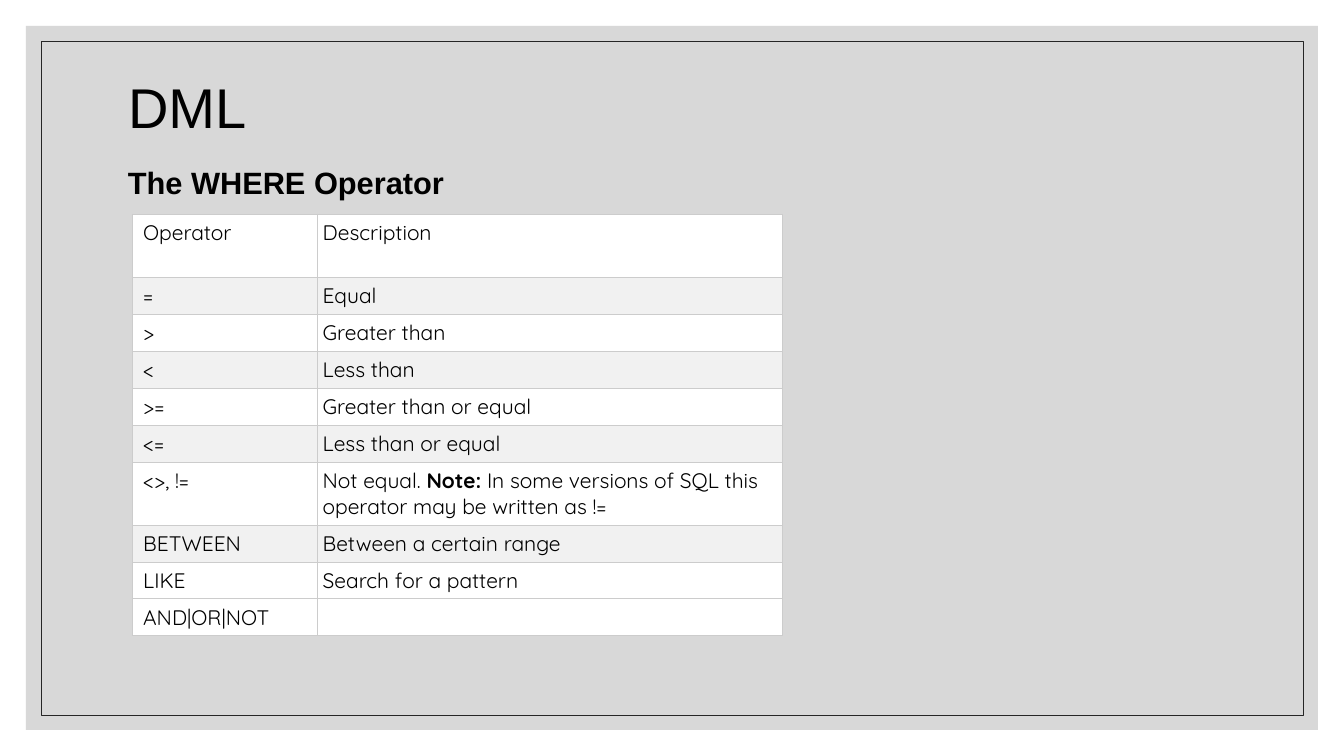
import pptx
import pptx.dml.color
import pptx.enum.shapes
import pptx.enum.text
import pptx.oxml
import pptx.oxml.ns
import pptx.util

SLIDE_W, SLIDE_H = 1344, 756
PX = 12192000 / SLIDE_W
COLORS = {
    "panel": "BFBFBF", "frame": "262626", "text": "000000",
    "border": "CCCCCC", "plain": "FFFFFF", "band": "F1F1F1",
}
OPERATORS = [
    ("Operator", ["Description"]),
    ("=", ["Equal"]),
    (">", ["Greater than"]),
    ("<", ["Less than"]),
    (">=", ["Greater than or equal"]),
    ("<=", ["Less than or equal"]),
    ("<>, !=", ["Not equal. ", "Note:", " In some versions of SQL this operator may be written as !="]),
    ("BETWEEN", ["Between a certain range"]),
    ("LIKE", ["Search for a pattern"]),
    ("AND|OR|NOT", []),
]
BANDED_ROWS = (1, 3, 5, 7)
TALL_ROWS = (0, 6)


def px(length):
    return pptx.util.Emu(round(length * PX))


def rgb(name):
    return pptx.dml.color.RGBColor.from_string(COLORS[name])


def style(paragraph, font_name, size, bold=False):
    paragraph.font.name = font_name
    paragraph.font.size = pptx.util.Pt(size)
    paragraph.font.bold = bold
    paragraph.font.color.rgb = rgb("text")


def add_backdrop(slide, margin, frame_margin):
    """Translucent panel and thin frame, both behind the title."""
    for inset in (margin, frame_margin):
        box = slide.shapes.add_shape(
            pptx.enum.shapes.MSO_SHAPE.RECTANGLE, px(inset), px(inset),
            px(SLIDE_W - 2 * inset), px(SLIDE_H - 2 * inset))
        box.shadow.inherit = False
        if inset == margin:
            box.fill.solid()
            box.fill.fore_color.rgb = rgb("panel")
            color = box.element.spPr.find(".//" + pptx.oxml.ns.qn("a:srgbClr"))
            color.append(pptx.oxml.parse_xml(
                f'<a:alpha {pptx.oxml.ns.nsdecls("a")} val="60000"/>'))
            box.line.fill.background()
        else:
            box.fill.background()
            box.line.color.rgb = rgb("frame")
            box.line.width = pptx.util.Pt(0.5)
        slide.shapes.title.element.addprevious(box.element)


def add_headings(slide, left, top, width):
    # Title
    title = slide.shapes.title
    title.left, title.top, title.width, title.height = px(left), px(top), px(width), px(78)
    title.text_frame.text = "DML"
    title.text_frame.vertical_anchor = pptx.enum.text.MSO_ANCHOR.MIDDLE
    heading = title.text_frame.paragraphs[0]
    heading.alignment = pptx.enum.text.PP_ALIGN.LEFT
    heading.line_spacing = 0.9
    style(heading, "Arial", 40)

    # Subtitle
    subtitle = slide.shapes.add_textbox(px(left), px(top + 84), px(width), px(56))
    subtitle.text_frame.word_wrap = True
    topic = subtitle.text_frame.paragraphs[0]
    topic.text = "The WHERE Operator"
    topic.line_spacing = 1.1
    topic.space_before = pptx.util.Pt(9)
    style(topic, "Arial", 22, bold=True)


def add_borders(cell):
    properties = cell._tc.get_or_add_tcPr()
    for side in "LRTB":
        properties.append(pptx.oxml.parse_xml(
            f'<a:ln{side} {pptx.oxml.ns.nsdecls("a")} w="7620"><a:solidFill>'
            f'<a:srgbClr val="{COLORS["border"]}"/></a:solidFill></a:ln{side}>'))


def fill_cell(cell, parts, left_inset, background):
    add_borders(cell)
    cell.fill.solid()
    cell.fill.fore_color.rgb = rgb(background)
    cell.margin_left = pptx.util.Pt(left_inset)
    cell.margin_right = cell.margin_top = cell.margin_bottom = pptx.util.Pt(4.1)
    paragraph = cell.text_frame.paragraphs[0]
    style(paragraph, "Quicksand", 15)
    for part in parts:
        run = paragraph.add_run()
        run.text = part
        if part == "Note:":
            run.font.bold = True


def add_operator_table(slide, left, top, widths):
    heights = [63 if row in TALL_ROWS else 37 for row in range(len(OPERATORS))]
    table = slide.shapes.add_table(
        len(OPERATORS), len(widths), px(left), px(top),
        px(sum(widths)), px(sum(heights))).table
    table.first_row = table.horz_banding = False
    for column, width in zip(table.columns, widths):
        column.width = px(width)
    for row, (operator, description) in enumerate(OPERATORS):
        table.rows[row].height = px(heights[row])
        background = "band" if row in BANDED_ROWS else "plain"
        fill_cell(table.cell(row, 0), [operator], 8, background)
        fill_cell(table.cell(row, 1), description, 4.1, background)


def main():
    deck = pptx.Presentation()
    deck.slide_width, deck.slide_height = px(SLIDE_W), px(SLIDE_H)
    slide = deck.slides.add_slide(deck.slide_layouts[5])
    add_backdrop(slide, 26, 41)
    add_headings(slide, 118, 71, 1109)
    add_operator_table(slide, 132, 214, (185, 465))
    deck.save("out.pptx")


if __name__ == "__main__":
    main()
